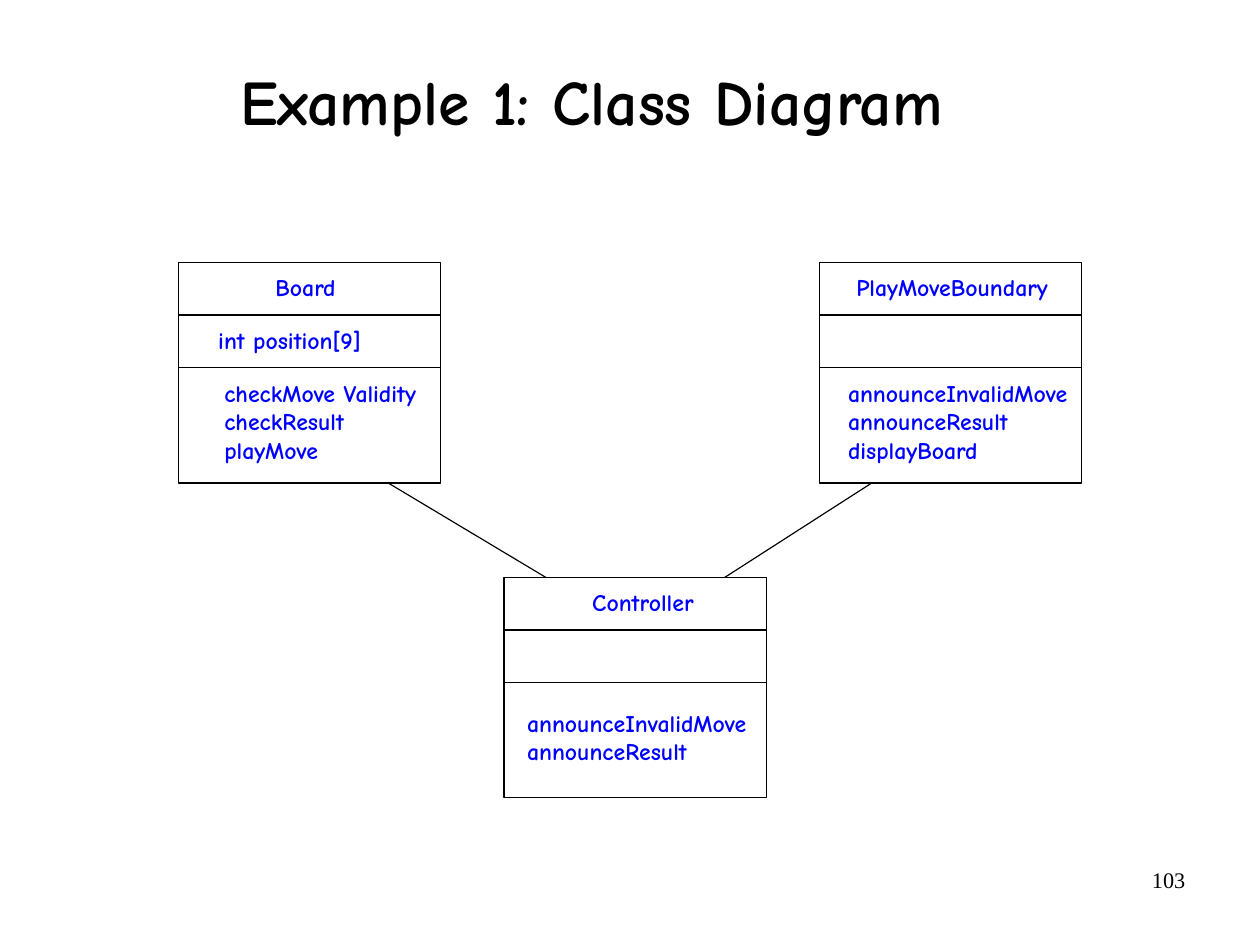
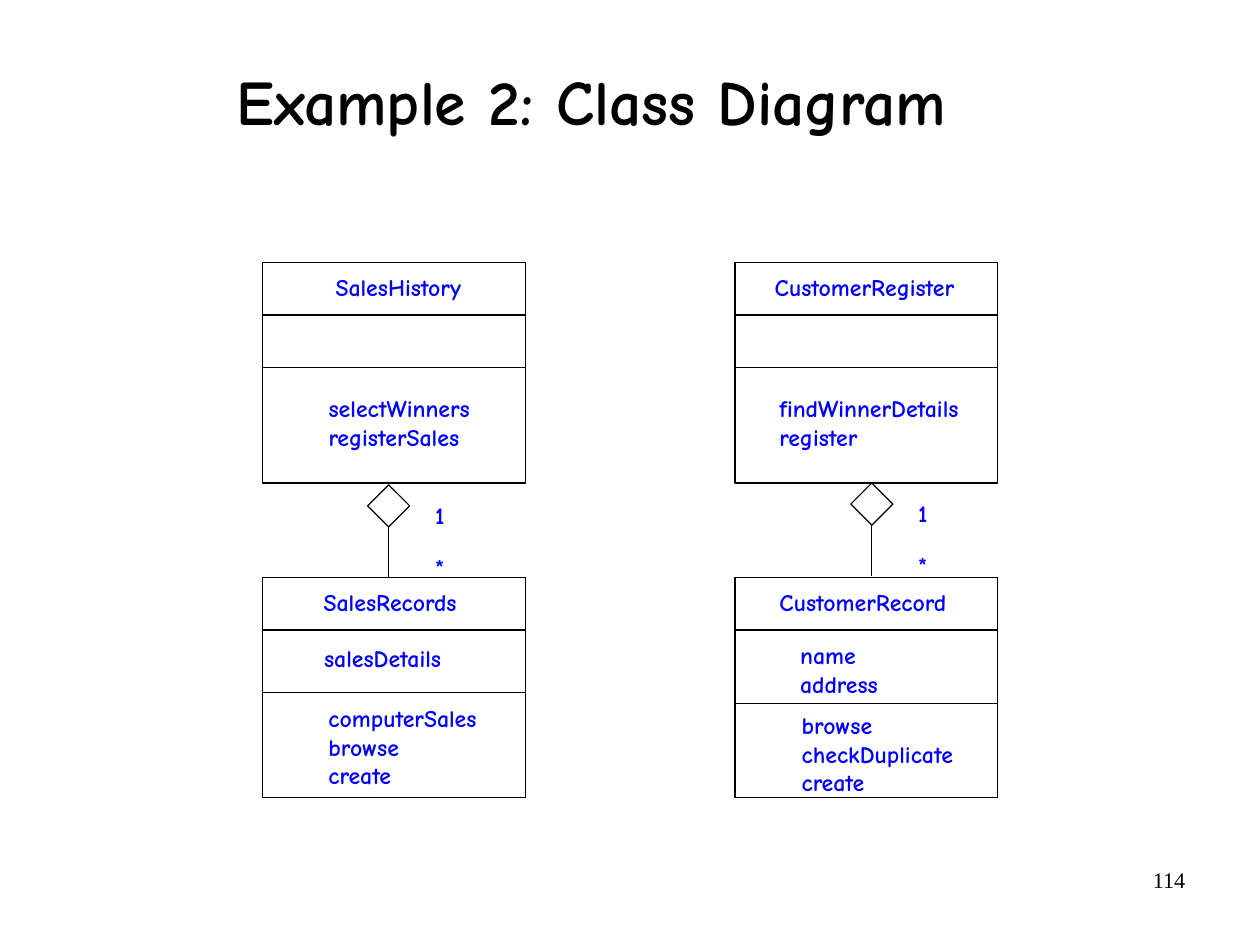
"""Build two class diagram slides."""
from dataclasses import dataclass
from typing import NamedTuple

from lxml import etree
from pptx import Presentation
from pptx import util as u
from pptx.dml import color
from pptx.enum import shapes, text
from pptx.oxml import ns


class Style(NamedTuple):
    """Font, size, colour and weight of a run."""
    font: str
    size: float
    ink: str
    bold: bool


class Box(NamedTuple):
    """A rectangle in points."""
    left: float
    top: float
    width: float
    height: float


class Part(NamedTuple):
    """Lines of a class compartment with their indent and top gap."""
    lines: tuple = ()
    indent: float = 0
    gap: float = 6.7


@dataclass(frozen=True)
class Theme:
    """Colours, type styles and fixed measures of the deck."""
    title: Style = Style("Comic Neue", 40, "000000", True)
    label: Style = Style("Comic Neue", 15, "0000FF", True)
    number: Style = Style("Times New Roman", 14, "000000", False)
    stroke: str = "000000"
    stroke_width: float = 0.75
    slide_width: float = 793.7
    slide_height: float = 595.3
    title_box: Box = Box(35.3, 14.4, 674.7, 102.2)
    number_box: Box = Box(568.8, 542.2, 185, 41)
    class_width: float = 165.4
    class_height: float = 138.9
    row: float = 33.1
    upper: float = 165.4
    lower: float = 363.8
    diamond: float = 26.5
    stem: float = 31.9
    line_height: float = 18


THEME = Theme()


def write(page, box, lines, style, align=text.PP_ALIGN.LEFT, margins=(0, 0)):
    """Place lines of text in a box and return its text frame."""
    frame = page.shapes.add_textbox(*map(u.Pt, box)).text_frame
    frame.word_wrap = True
    frame.margin_left = frame.margin_right = u.Pt(margins[0])
    frame.margin_top = frame.margin_bottom = u.Pt(margins[1])
    for index, line in enumerate(lines):
        para = frame.add_paragraph() if index else frame.paragraphs[0]
        para.alignment = align
        span = para.add_run()
        span.text = line
        span.font.name = style.font
        span.font.size = u.Pt(style.size)
        span.font.bold = style.bold
        span.font.color.rgb = color.RGBColor.from_string(style.ink)
    return frame


def stroke(item):
    """Give a shape or connector the common line."""
    item.line.color.rgb = color.RGBColor.from_string(THEME.stroke)
    item.line.width = u.Pt(THEME.stroke_width)


def outline(page, kind, box):
    """Draw an unfilled preset shape."""
    shape = page.shapes.add_shape(kind, *map(u.Pt, box))
    shape.fill.background()
    shape.shadow.inherit = False
    stroke(shape)
    return shape


def connect(page, start, end):
    """Draw a straight line between two points."""
    line = page.shapes.add_connector(
        shapes.MSO_CONNECTOR.STRAIGHT, *map(u.Pt, (*start, *end)))
    stroke(line)
    etree.SubElement(line._element.spPr, ns.qn("a:effectLst"))
    return line


def add_page(deck, title, number):
    """Add a blank slide with its title and page number."""
    page = deck.slides.add_slide(deck.slide_layouts[6])
    write(page, THEME.number_box, [number], THEME.number,
          text.PP_ALIGN.RIGHT, (7.2, 3.6))
    frame = write(page, THEME.title_box, [title], THEME.title,
                  text.PP_ALIGN.CENTER, (1.4, 4.3))
    frame.vertical_anchor = text.MSO_ANCHOR.MIDDLE
    frame.paragraphs[0].line_spacing = 0.94
    frame.paragraphs[0].space_before = u.Pt(8.1)
    return page


def class_box(page, left, top, name, fields, methods, field_row=THEME.row):
    """Draw a class with name, field and method compartments."""
    box = Box(left, top, THEME.class_width, THEME.class_height)
    outline(page, shapes.MSO_SHAPE.RECTANGLE, box)
    field_top = top + THEME.row
    method_top = field_top + field_row
    for y in (field_top, method_top):
        connect(page, (left, y), (left + box.width, y))
    for y, part in zip((top, field_top, method_top), (name, fields, methods)):
        if part.lines:
            place = Box(left + part.indent, y + part.gap,
                        box.width - part.indent,
                        len(part.lines) * THEME.line_height)
            write(page, place, part.lines, THEME.label)
    return box


def associate(page, whole, whole_share, other, other_share):
    """Join the bottom of one class to the top of another."""
    connect(page,
            (whole.left + whole_share * whole.width, whole.top + whole.height),
            (other.left + other_share * other.width, other.top))


def aggregate(page, center, top):
    """Draw an aggregation diamond, its stem and its multiplicities."""
    size = THEME.diamond
    left = center - size / 2
    diamond = outline(page, shapes.MSO_SHAPE.DIAMOND, Box(left, top, size, size))
    for mark, drop in (("1", 10.1), ("*", 42.8)):
        write(page, Box(left + 42.5, top + drop, 14, THEME.line_height),
              [mark], THEME.label)
    bottom = top + size
    stem = connect(page, (center, bottom), (center, bottom + THEME.stem))
    stem.begin_connect(diamond, 2)


def game_slide(deck):
    """Build the board game class diagram."""
    page = add_page(deck, "Example 1: Class Diagram", "103")
    board = class_box(
        page, 112.3, THEME.upper, Part(("Board",), 61.2),
        Part(("int position[9]",), 25.2),
        Part(("checkMove Validity", "checkResult", "playMove"), 29))
    controller = class_box(
        page, 317.5, THEME.lower, Part(("Controller",), 55.6), Part(),
        Part(("announceInvalidMove", "announceResult"), 14.5, 16.4))
    boundary = class_box(
        page, 516, THEME.upper, Part(("PlayMoveBoundary",), 23.4), Part(),
        Part(("announceInvalidMove", "announceResult", "displayBoard"), 18.2))
    associate(page, board, 0.8, controller, 0.16)
    associate(page, boundary, 0.2, controller, 0.84)


def sales_slide(deck):
    """Build the sales and customer class diagram."""
    page = add_page(deck, "Example 2: Class Diagram", "114")
    sales, customer = 165.4, 463
    class_box(page, sales, THEME.upper, Part(("SalesHistory",), 46), Part(),
              Part(("selectWinners", "registerSales"), 41.6, 16.4))
    class_box(page, sales, THEME.lower, Part(("SalesRecords",), 38.5),
              Part(("salesDetails",), 38.8, 8.5),
              Part(("computerSales", "browse", "create"), 41.5, 7), 39.6)
    class_box(page, customer, THEME.upper, Part(("CustomerRegister",), 25),
              Part(), Part(("findWinnerDetails", "register"), 28, 16.4))
    class_box(page, customer, THEME.lower, Part(("CustomerRecord",), 28),
              Part(("name", "address"), 41),
              Part(("browse", "checkDuplicate", "create"), 42, 4.6), 46.3)
    aggregate(page, 244.8, 305.4)
    aggregate(page, 549.2, 304.3)


def main():
    """Build and save the deck."""
    deck = Presentation()
    deck.slide_width = u.Pt(THEME.slide_width)
    deck.slide_height = u.Pt(THEME.slide_height)
    game_slide(deck)
    sales_slide(deck)
    deck.save("out.pptx")


if __name__ == "__main__":
    main()
